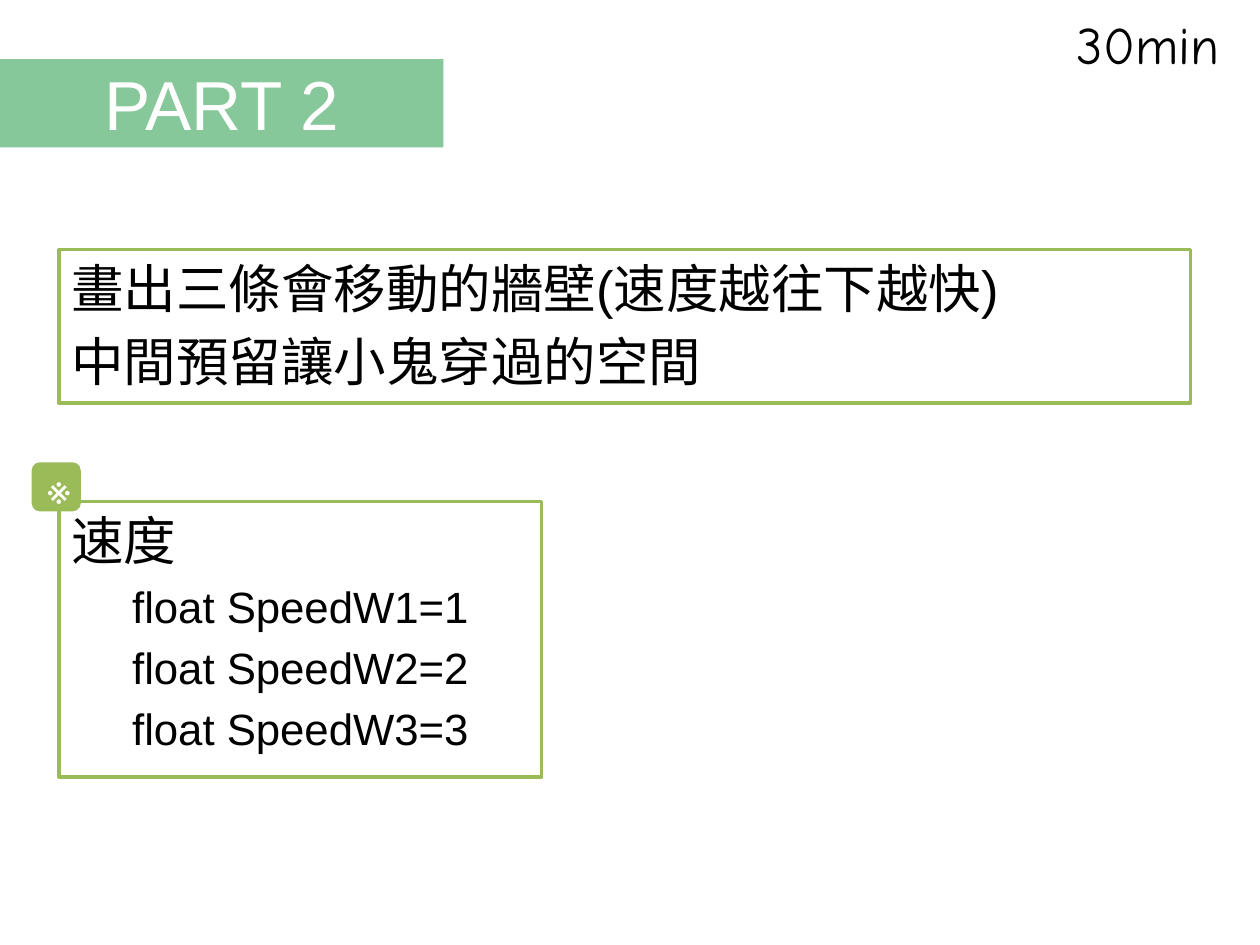
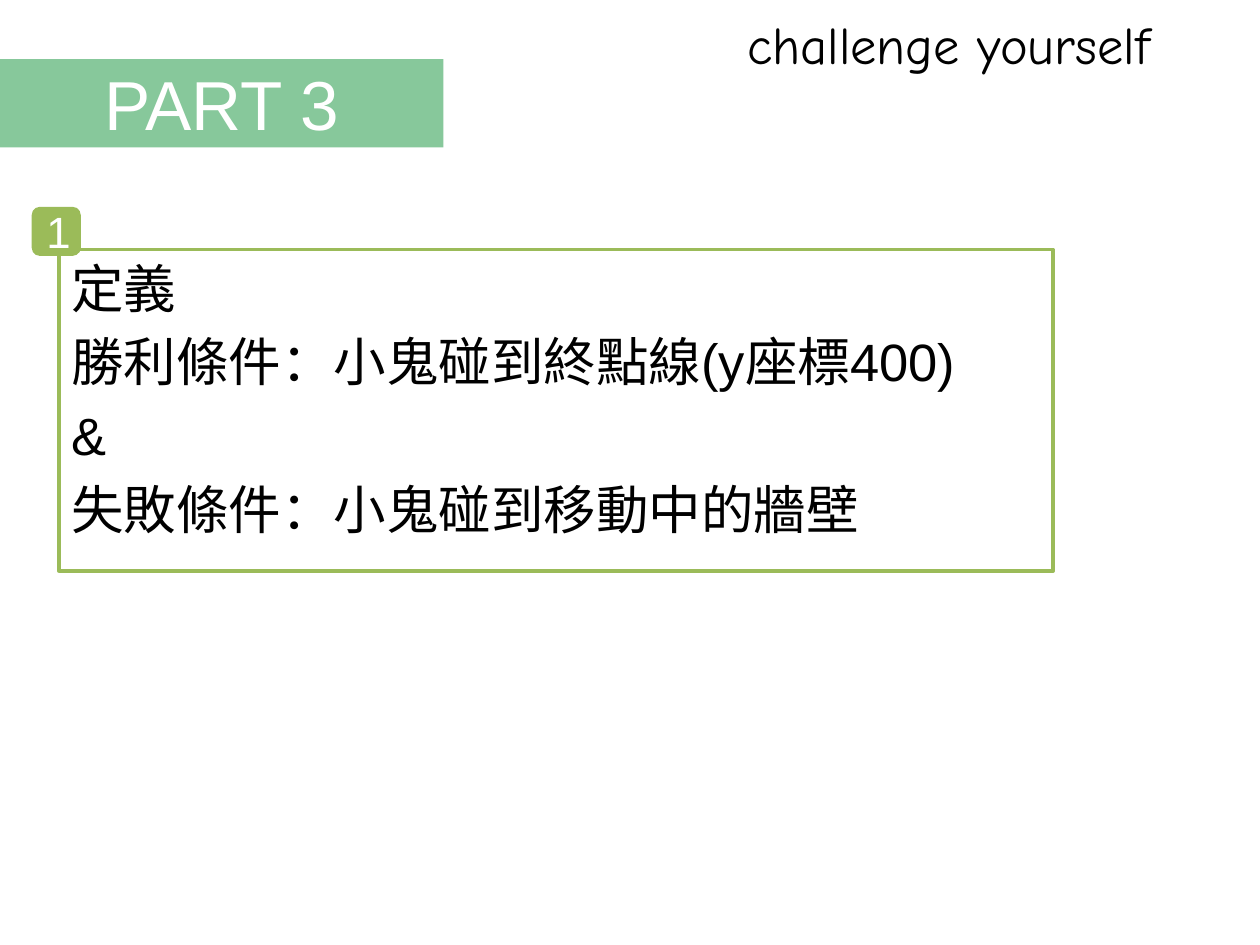
import dataclasses

import pptx
import pptx.dml.color
import pptx.enum.shapes
import pptx.enum.text
import pptx.oxml
import pptx.oxml.ns
import pptx.util

Cm = pptx.util.Cm
Pt = pptx.util.Pt
ALIGN = pptx.enum.text.PP_ALIGN
ANCHOR = pptx.enum.text.MSO_ANCHOR
SHAPE = pptx.enum.shapes.MSO_SHAPE


@dataclasses.dataclass(frozen=True)
class Theme:
    band: str = "87C89B"
    accent: str = "9BBB59"
    paper: str = "FFFFFF"
    ink: str = "000000"
    font: str = "Arial"
    note_font: str = "Comic Neue"
    title_size: float = 39.6
    text_size: float = 30
    code_size: float = 25
    frame_width: float = 2


THEME = Theme()

# Lengths are centimetres; a frame's area is left, top, width, height.
SLIDES = [
    {
        "title": "PART 2",
        "note": "30min",
        "note_left": 21.46,
        "body": ["畫出三條會移動的牆壁(速度越往下越快)", "中間預留讓小鬼穿過的空間"],
        "body_area": (1.19, 5.03, 22.81, 3.1),
        "code": ["速度", "float SpeedW1=1", "float SpeedW2=2", "float SpeedW3=3"],
        "code_area": (1.19, 10.11, 9.73, 5.56),
        "badge": "※",
        "badge_top": 9.32,
    },
    {
        "title": "PART 3",
        "note": "challenge yourself",
        "note_left": 14.81,
        "body": [
            "定義",
            "勝利條件：小鬼碰到終點線(y座標400)",
            "&",
            "失敗條件：小鬼碰到移動中的牆壁",
        ],
        "body_area": (1.19, 5.03, 20.04, 6.48),
        "badge": "1",
        "badge_top": 4.17,
    },
]
SLIDE_SIZE = (25.4, 19.05)
TITLE_AREA = (0, 1.19, 8.94, 1.78)
BADGE_LEFT, BADGE_SIDE = 0.64, 0.99
NOTE_HEIGHT = 1.6
HANGING = 0.97


def color(code):
    return pptx.dml.color.RGBColor.from_string(code)


def place(box, area):
    box.left, box.top, box.width, box.height = map(Cm, area)


def paint(box, fill, line=None):
    box.fill.solid()
    box.fill.fore_color.rgb = color(fill)
    if line:
        box.line.color.rgb = color(line)
        box.line.width = Pt(THEME.frame_width)
    else:
        box.line.fill.background()


def set_up_text(box, anchor, side=0.25, end=0.13):
    frame = box.text_frame
    frame.word_wrap = True
    frame.auto_size = pptx.enum.text.MSO_AUTO_SIZE.NONE
    frame.vertical_anchor = anchor
    frame.margin_left = frame.margin_right = Cm(side)
    frame.margin_top = frame.margin_bottom = Cm(end)
    return frame


def style(para, size, ink, align=ALIGN.LEFT, font=THEME.font):
    para.alignment = align
    for span in para.runs:
        span.font.size = Pt(size)
        span.font.name = font
        span.font.color.rgb = color(ink)


def hang(para, space_before):
    """Give a paragraph a hanging indent without a bullet."""
    para.space_before = Pt(space_before)
    properties = para._p.get_or_add_pPr()
    properties.set("marL", str(Cm(HANGING)))
    properties.set("indent", str(-Cm(HANGING)))
    properties.append(pptx.oxml.parse_xml(f"<a:buNone {pptx.oxml.ns.nsdecls('a')}/>"))


def fill_frame(box, area, lines, is_code=False):
    """Write a green-edged panel; code lines follow its first line, centred."""
    place(box, area)
    paint(box, THEME.paper, THEME.accent)
    frame = set_up_text(box, ANCHOR.TOP)
    frame.text = "\n".join(lines)
    for index, para in enumerate(frame.paragraphs):
        if is_code and index:
            style(para, THEME.code_size, THEME.ink, ALIGN.CENTER)
            hang(para, 5)
        else:
            style(para, THEME.text_size, THEME.ink)
            hang(para, 6 if index else 0)


def add_plain_shape(page, kind, area):
    box = page.shapes.add_shape(kind, *map(Cm, area))
    box.shadow.inherit = False
    return box


def fill_label(box, text, fill, size):
    paint(box, fill)
    frame = set_up_text(box, ANCHOR.MIDDLE)
    frame.text = text
    style(frame.paragraphs[0], size, THEME.paper, ALIGN.CENTER)


def add_note(page, text, left):
    area = (left, 0, SLIDE_SIZE[0] - left, NOTE_HEIGHT)
    box = page.shapes.add_textbox(*map(Cm, area))
    frame = set_up_text(box, ANCHOR.TOP, 0.25, 0.25)
    frame.text = text
    style(frame.paragraphs[0], THEME.text_size, THEME.ink, font=THEME.note_font)


def build_page(deck, content):
    page = deck.slides.add_slide(deck.slide_layouts[1])
    title, body = page.placeholders
    place(title, TITLE_AREA)
    fill_label(title, content["title"], THEME.band, THEME.title_size)
    fill_frame(body, content["body_area"], content["body"])
    if "code" in content:
        panel = add_plain_shape(page, SHAPE.RECTANGLE, content["code_area"])
        fill_frame(panel, content["code_area"], content["code"], is_code=True)
    badge_area = (BADGE_LEFT, content["badge_top"], BADGE_SIDE, BADGE_SIDE)
    badge = add_plain_shape(page, SHAPE.ROUNDED_RECTANGLE, badge_area)
    fill_label(badge, content["badge"], THEME.accent, THEME.code_size)
    add_note(page, content["note"], content["note_left"])


def main():
    deck = pptx.Presentation()
    deck.slide_width, deck.slide_height = map(Cm, SLIDE_SIZE)
    for content in SLIDES:
        build_page(deck, content)
    deck.save("out.pptx")


if __name__ == "__main__":
    main()
